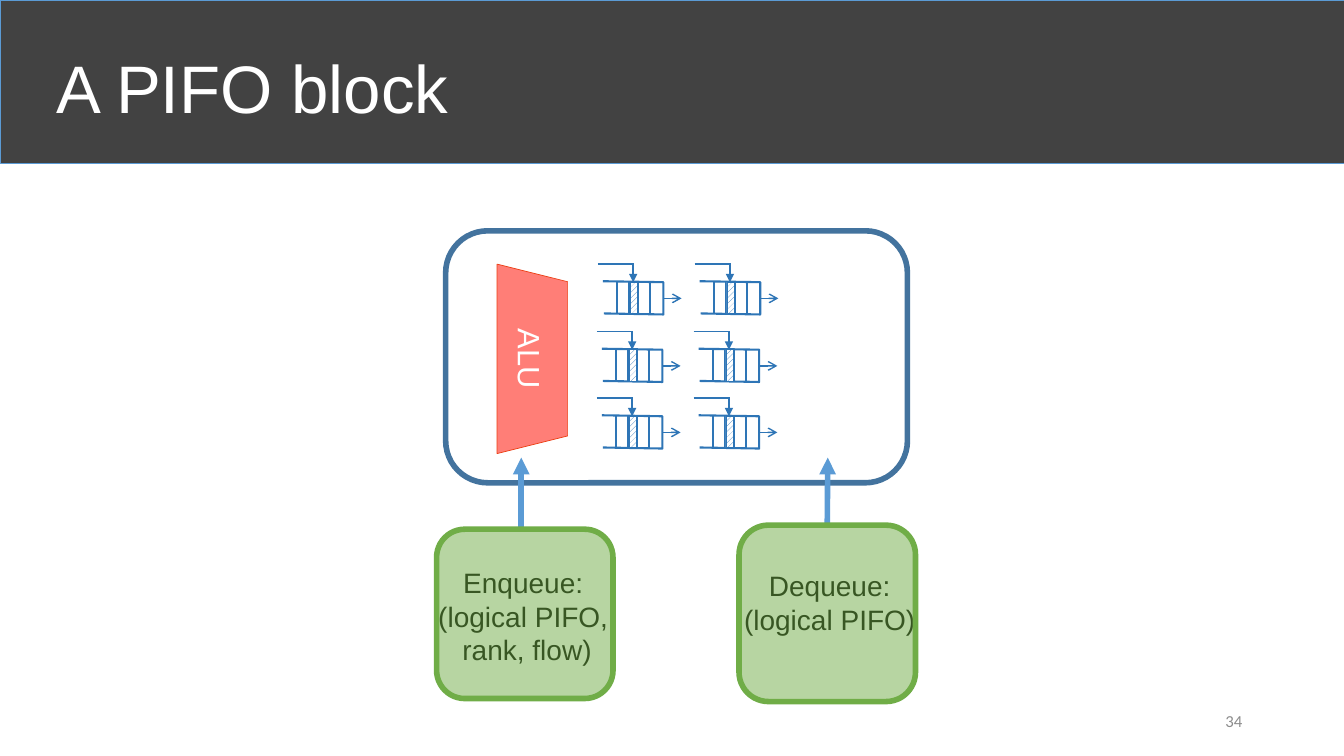
from dataclasses import dataclass

from lxml.etree import SubElement
from pptx import Presentation
from pptx.dml.color import RGBColor
from pptx.enum.dml import MSO_PATTERN
from pptx.enum.shapes import MSO_CONNECTOR, MSO_SHAPE
from pptx.enum.text import MSO_ANCHOR, PP_ALIGN
from pptx.oxml.ns import qn
from pptx.util import Inches, Pt

WHITE = RGBColor(0xFF, 0xFF, 0xFF)
BLACK = RGBColor(0, 0, 0)
BAND = RGBColor(0x42, 0x42, 0x42)
GREY = RGBColor(0x8C, 0x8C, 0x8C)
SKY = RGBColor(0x5B, 0x9B, 0xD5)
STEEL = RGBColor(0x43, 0x73, 0x9E)
QUEUE_BLUE = RGBColor(0x2E, 0x75, 0xB6)
GREEN = RGBColor(0x70, 0xAD, 0x47)
CORAL = RGBColor(0xFF, 0x7E, 0x77)
RED = RGBColor(0xEC, 0x40, 0x16)


@dataclass(frozen=True)
class Box:
    left: float
    top: float
    width: float
    height: float

    def emu(self) -> tuple:
        return tuple(Inches(v) for v in (self.left, self.top, self.width, self.height))


@dataclass(frozen=True)
class Operation:
    lines: tuple
    label: Box
    box: Box
    arrow_x: float
    centred: bool  # the arrow leaves from the middle of the top side


@dataclass(frozen=True)
class QueueRow:
    dx: float
    dy: float


OPERATIONS = (
    Operation(("Enqueue:", "(logical PIFO,", " rank, flow)"),
              Box(4.21, 5.56, 1.96, 1.11), Box(4.33, 5.25, 1.75, 1.68), 5.17, False),
    Operation(("Dequeue:", "(logical PIFO)"),
              Box(7.25, 5.59, 1.96, 0.77), Box(7.33, 5.21, 1.75, 1.75), 8.21, True),
)
ARROW_TIP = 4.54

QUEUE_LEFT, QUEUE_TOP, COLUMN_STEP = 5.98, 2.79, 0.96
QUEUE_ROWS = (QueueRow(0, 0), QueueRow(-0.01, 0.67), QueueRow(-0.01, 1.33))
OUTLINE = ((0, 0), (0.6, 0.01), (0.6, 0.33), (0.01, 0.32))
DIVIDERS = (0.14, 0.26, 0.35, 0.47)


def write(shape, lines, *, size, color, font="Arial", align=PP_ALIGN.CENTER,
          anchor=MSO_ANCHOR.MIDDLE) -> None:
    tf = shape.text_frame
    tf.word_wrap = True
    tf.vertical_anchor = anchor
    for i, line in enumerate(lines):
        p = tf.paragraphs[0] if i == 0 else tf.add_paragraph()
        p.alignment = align
        r = p.add_run()
        r.text = line
        r.font.size = Pt(size)
        r.font.name = font
        r.font.color.rgb = color


def style(shape, line: RGBColor, weight: float, fill: RGBColor | None = None) -> None:
    shape.shadow.inherit = False
    shape.line.color.rgb = line
    shape.line.width = Pt(weight)
    if fill is None:
        shape.fill.background()
    else:
        shape.fill.solid()
        shape.fill.fore_color.rgb = fill


def add_box(shapes, kind: MSO_SHAPE, box: Box, line: RGBColor, weight: float,
            fill: RGBColor | None = None):
    sp = shapes.add_shape(kind, *box.emu())
    style(sp, line, weight, fill)
    return sp


def add_line(shapes, start: tuple, end: tuple, color: RGBColor, weight: float,
             arrow: str | None = None):
    c = shapes.add_connector(MSO_CONNECTOR.STRAIGHT, *(Inches(v) for v in start + end))
    c.line.color.rgb = color
    c.line.width = Pt(weight)
    if arrow:
        SubElement(c.line._get_or_add_ln(), qn("a:tailEnd"), type=arrow)
    SubElement(c._element.spPr, qn("a:effectLst"))
    return c


def add_queue(shapes, x: float, y: float) -> None:
    # Open-ended buffer with its dividers
    points = [(Inches(x + px), Inches(y + py)) for px, py in OUTLINE]
    builder = shapes.build_freeform(*points[0], scale=1.0)
    builder.add_line_segments(points[1:], close=False)
    style(builder.convert_to_shape(), QUEUE_BLUE, 1.5)
    for dx in DIVIDERS:
        add_line(shapes, (x + dx, y), (x + dx, y + 0.33), QUEUE_BLUE, 1.5)

    # Hatched slot
    slot = add_box(shapes, MSO_SHAPE.RECTANGLE, Box(x + 0.27, y + 0.01, 0.07, 0.31),
                   QUEUE_BLUE, 0.5)
    slot.fill.patterned()
    slot.fill.pattern = MSO_PATTERN.WIDE_UPWARD_DIAGONAL
    slot.fill.fore_color.rgb = QUEUE_BLUE
    slot.fill.back_color.rgb = WHITE

    # Input from above, output to the right
    add_line(shapes, (x - 0.05, y - 0.17), (x + 0.31, y - 0.17), QUEUE_BLUE, 1)
    add_line(shapes, (x + 0.3, y - 0.17), (x + 0.3, y + 0.01), QUEUE_BLUE, 1, "triangle")
    add_line(shapes, (x + 0.6, y + 0.17), (x + 0.78, y + 0.17), QUEUE_BLUE, 1, "arrow")


def add_operation(shapes, op: Operation) -> None:
    label = shapes.add_textbox(*op.label.emu())
    write(label, op.lines, size=20, color=BLACK, anchor=MSO_ANCHOR.TOP)
    box = add_box(shapes, MSO_SHAPE.ROUNDED_RECTANGLE, op.box, GREEN, 4, GREEN)
    color = box._element.spPr.find(qn("a:solidFill"))[0]
    SubElement(color, qn("a:alpha"), val="50000")
    arrow = add_line(shapes, (op.arrow_x, op.box.top), (op.arrow_x, ARROW_TIP),
                     SKY, 4, "triangle")
    if op.centred:
        arrow.begin_connect(box, 0)
    box._element.addprevious(arrow._element)  # arrow sits behind the box


def main() -> None:
    prs = Presentation()
    prs.slide_width, prs.slide_height = Inches(13.33), Inches(7.5)
    s = prs.slides.add_slide(prs.slide_layouts[5])

    # Title on a dark band
    title = s.shapes.title
    band = add_box(s.shapes, MSO_SHAPE.RECTANGLE, Box(0, 0, 13.33, 1.62), SKY, 0.5, BAND)
    title._element.addprevious(band._element)
    title.left, title.top, title.width, title.height = Box(0.46, 0.13, 11.5, 1.45).emu()
    write(title, ["A PIFO block"], size=48, color=WHITE, align=PP_ALIGN.LEFT)

    # Block frame and operations
    add_box(s.shapes, MSO_SHAPE.ROUNDED_RECTANGLE, Box(4.42, 2.29, 4.58, 2.5), STEEL, 4)
    for op in OPERATIONS:
        add_operation(s.shapes, op)

    # Two columns of queues
    for column in range(2):
        group = s.shapes.add_group_shape()
        for row in QUEUE_ROWS:
            add_queue(group.shapes, QUEUE_LEFT + column * COLUMN_STEP + row.dx,
                      QUEUE_TOP + row.dy)

    # ALU
    alu = add_box(s.shapes, MSO_SHAPE.TRAPEZOID, Box(4.34, 3.21, 1.88, 0.7), RED, 0.5, CORAL)
    alu.rotation = 90
    write(alu, ["ALU"], size=22, color=WHITE)

    # Page number
    number = s.shapes.add_textbox(*Box(9.42, 6.95, 3, 0.4).emu())
    write(number, ["34"], size=12, color=GREY, font="Calibri", align=PP_ALIGN.RIGHT)

    prs.save("out.pptx")


if __name__ == "__main__":
    main()
